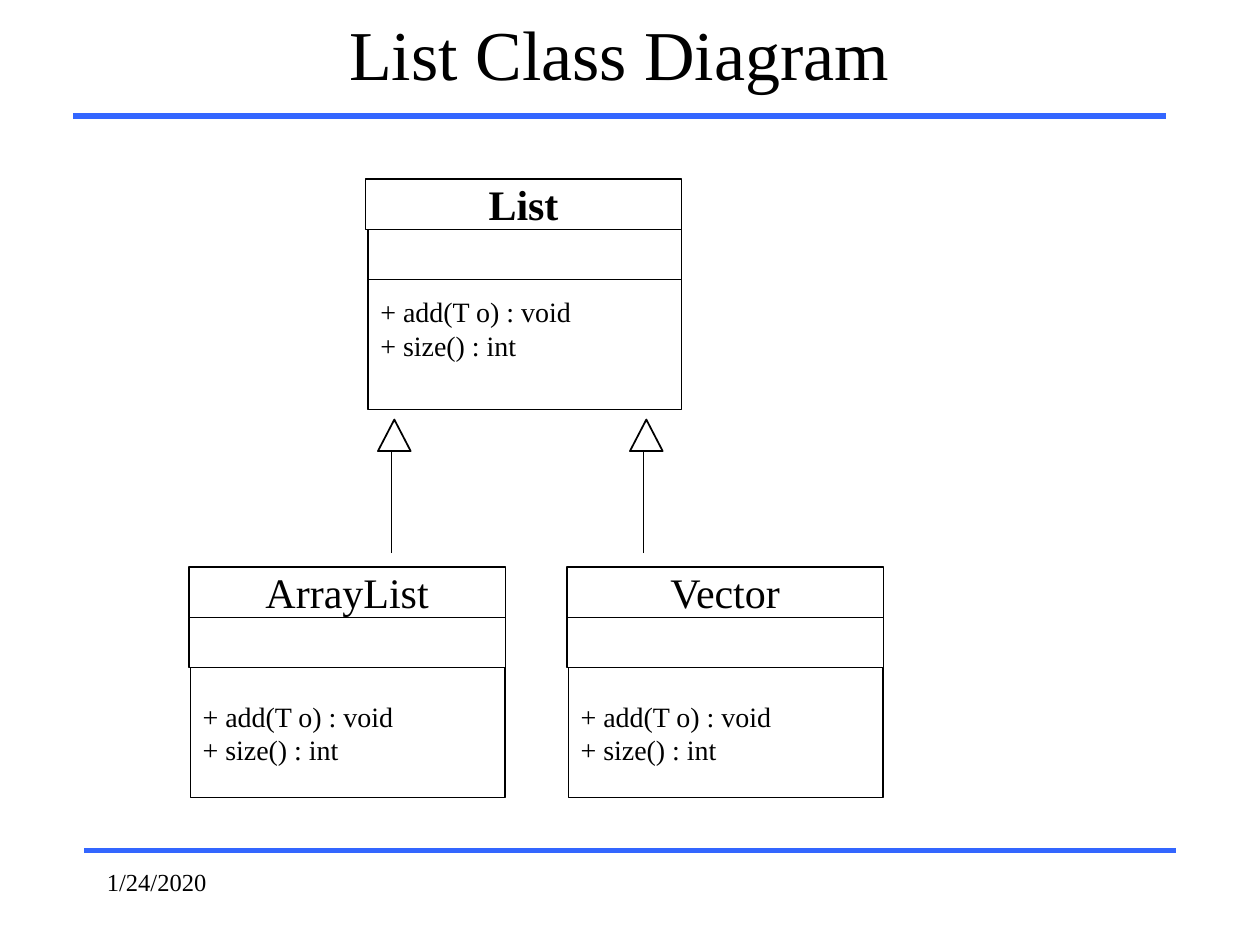
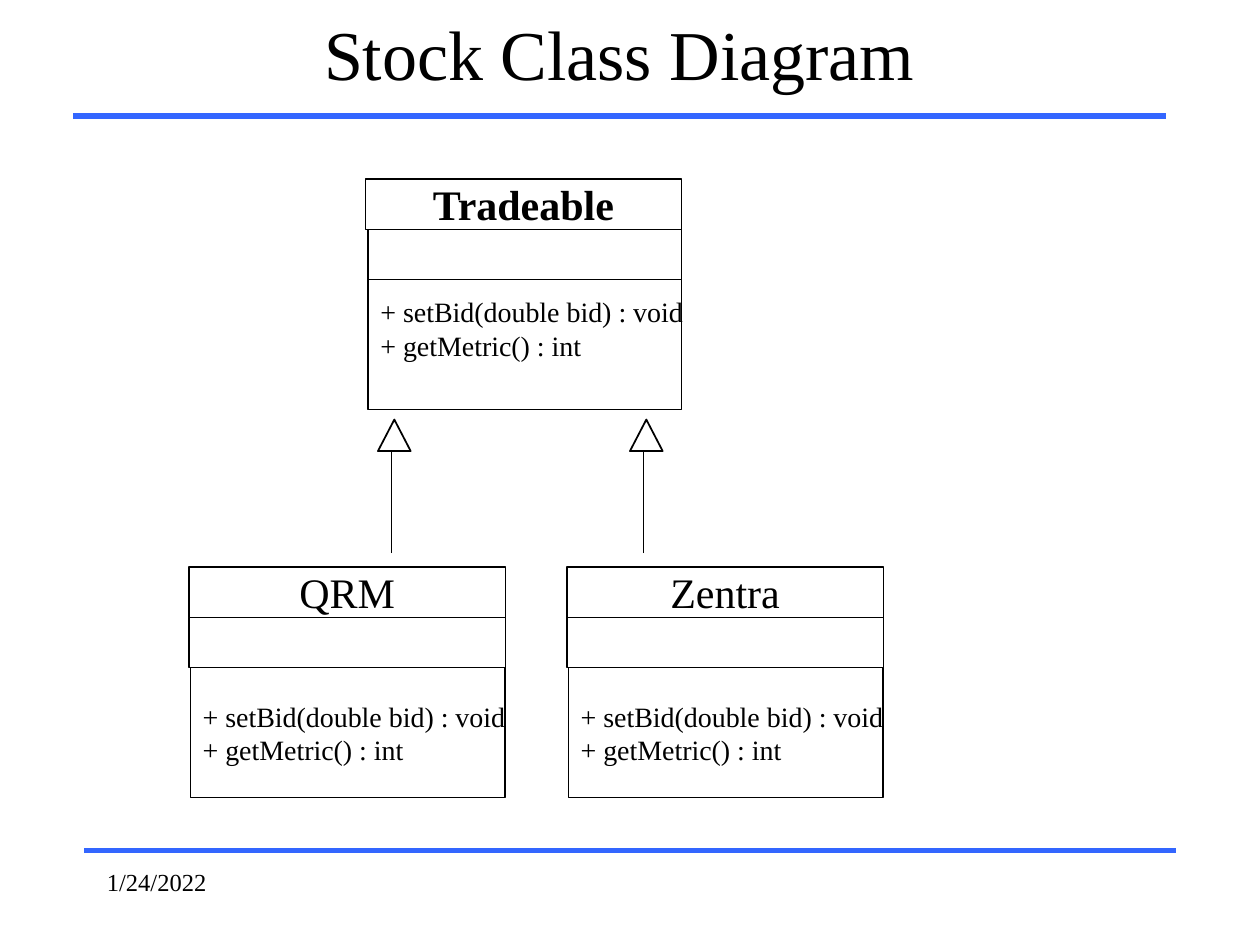
from dataclasses import dataclass

from lxml.etree import SubElement
from pptx import Presentation
from pptx.dml.color import RGBColor
from pptx.enum.shapes import MSO_CONNECTOR, MSO_SHAPE
from pptx.enum.text import MSO_ANCHOR, PP_ALIGN
from pptx.oxml.ns import qn
from pptx.util import Inches, Pt


@dataclass(frozen=True)
class Theme:
    """Colours, font, type sizes and line widths of the deck."""
    ink: RGBColor = RGBColor(0x00, 0x00, 0x00)
    paper: RGBColor = RGBColor(0xFF, 0xFF, 0xFF)
    rule: RGBColor = RGBColor(0x33, 0x66, 0xFF)
    font: str = "Times New Roman"
    title: int = 40
    name: int = 24
    method: int = 16
    date: int = 14
    rule_line: float = 3
    box_line: float = 0.75
    stem_line: float = 0.5
    tip_line: float = 1


@dataclass(frozen=True)
class Box:
    """A region measured in columns and rows of the slide grid."""
    x: float
    y: float
    w: float
    h: float

    def inner(self, dx, dy, w, h):
        """Return a region placed relative to this one."""
        return Box(self.x + dx, self.y + dy, w, h)

    def emu(self):
        """Return left, top, width and height for python-pptx."""
        return [grid(v) for v in (self.x, self.y, self.w, self.h)]


THEME = Theme()
COLUMNS, ROWS = 10, 7.5
TITLE = Box(0.58, 0, 8.67, 0.83)
DATE = Box(0.75, 6.83, 2.08, 0.5)
RULES = [Box(0.67, 6.75, 8.66, 0), Box(0.58, 0.92, 8.67, 0)]
CLASS_W, CLASS_H, NAME_H = 2.51, 1.83, 0.4
PARENT = Box(2.9, 1.42, CLASS_W, CLASS_H)
CHILDREN = [Box(1.5 + 3 * i, 4.5, CLASS_W, CLASS_H) for i in range(2)]
ARROWS = [Box(3 + 2 * i, 3.33, 0.26, 1.06) for i in range(2)]
PARENT_INDENTS, CHILD_INDENTS = (0, 0.02, 0.02), (0, 0, 0.01)
EMPTY_LINE = 0.26

SLIDES = [
    {"title": "List Class Diagram", "date": "1/24/2020", "parent": "List",
     "children": ["ArrayList", "Vector"],
     "methods": ["+ add(T o) : void", "+ size() : int"]},
    {"title": "Stock Class Diagram", "date": "1/24/2022", "parent": "Tradeable",
     "children": ["QRM", "Zentra"],
     "methods": ["+ setBid(double bid) : void", "+ getMetric() : int"]},
]


def grid(cells):
    """Convert grid cells to a slide length."""
    return Inches(round(cells, 2))


def apply(obj, values):
    """Set every attribute named in values on obj."""
    for key, value in values.items():
        setattr(obj, key, value)


def write(tf, lines, size, align=PP_ALIGN.LEFT, bold=False, **frame):
    """Fill a text frame with one formatted paragraph per line."""
    apply(tf, frame)
    for i, line in enumerate(lines):
        p = tf.paragraphs[0] if i == 0 else tf.add_paragraph()
        p.alignment = align
        r = p.add_run()
        r.text = line
        apply(r.font, {"name": THEME.font, "size": Pt(size), "bold": bold})
        r.font.color.rgb = THEME.ink


def add_line(shapes, box, color, width):
    """Draw a straight line from the bottom left to the top right of box."""
    x, y, w, h = box.emu()
    line = shapes.add_connector(MSO_CONNECTOR.STRAIGHT, x, y + h, x + w, y)
    line.line.color.rgb = color
    line.line.width = Pt(width)
    SubElement(line.element.spPr, qn("a:effectLst"))
    return line


def add_outlined(shapes, kind, box, width):
    """Add a white preset shape with a black outline."""
    sp = shapes.add_shape(kind, *box.emu())
    sp.shadow.inherit = False
    sp.fill.solid()
    sp.fill.fore_color.rgb = THEME.paper
    sp.line.color.rgb = THEME.ink
    sp.line.width = Pt(width)
    return sp


def add_class(s, box, name, methods, indents, is_parent=False):
    """Draw a class as name, field and method compartments inside box."""
    shapes = s.shapes.add_group_shape().shapes
    heights = (NAME_H, NAME_H, box.h - 2 * NAME_H)
    cells = [box.inner(dx, i * NAME_H, box.w - dx, h)
             for i, (dx, h) in enumerate(zip(indents, heights))]
    order = (1, 2, 0) if is_parent else (0, 1, 2)
    rows = {i: add_outlined(shapes, MSO_SHAPE.RECTANGLE, cells[i], THEME.box_line)
            for i in order}
    frame = {"word_wrap": False, "vertical_anchor": MSO_ANCHOR.MIDDLE}
    write(rows[0].text_frame, [name], THEME.name, PP_ALIGN.CENTER, is_parent, **frame)
    bottom = 0.05 + (EMPTY_LINE if is_parent else 0)
    write(rows[2].text_frame, methods, THEME.method, margin_bottom=grid(bottom), **frame)


def add_inheritance(s, box):
    """Draw an upward stem with a hollow triangle at the top of box."""
    shapes = s.shapes.add_group_shape().shapes
    stem = box.inner(0.11, 0.14, 0, box.h - 0.14)
    add_line(shapes, stem, THEME.ink, THEME.stem_line)
    tip = box.inner(0, 0, box.w, 0.25)
    add_outlined(shapes, MSO_SHAPE.ISOSCELES_TRIANGLE, tip, THEME.tip_line)


def add_rules(layout, s):
    """Place the blue rules on the layout that all slides share."""
    for i, box in enumerate(RULES):
        line = add_line(s.shapes, box, THEME.rule, THEME.rule_line)
        line.element.nvCxnSpPr.cNvPr.set("id", str(100 + i))
        layout.shapes.element.append(line.element)


def add_frame(s, title, date):
    """Fill the title placeholder and the date at the foot."""
    sp = s.shapes.title
    apply(sp, dict(zip(("left", "top", "width", "height"), TITLE.emu())))
    write(sp.text_frame, [title], THEME.title, PP_ALIGN.CENTER,
          vertical_anchor=MSO_ANCHOR.MIDDLE)
    sp = s.shapes.add_textbox(*DATE.emu())
    write(sp.text_frame, [date], THEME.date, word_wrap=True)


def add_diagram_slide(prs, layout, content):
    """Build a slide with one parent class and its two children."""
    s = prs.slides.add_slide(layout)
    add_frame(s, content["title"], content["date"])
    methods = content["methods"]
    add_class(s, PARENT, content["parent"], methods, PARENT_INDENTS, True)
    for box in ARROWS:
        add_inheritance(s, box)
    for box, name in zip(CHILDREN, content["children"]):
        add_class(s, box, name, methods, CHILD_INDENTS)


def main():
    """Build and save the deck."""
    prs = Presentation()
    apply(prs, {"slide_width": grid(COLUMNS), "slide_height": grid(ROWS)})
    layout = prs.slide_layouts.get_by_name("Title Only")
    for content in SLIDES:
        add_diagram_slide(prs, layout, content)
    add_rules(layout, prs.slides[0])
    prs.save("out.pptx")


if __name__ == "__main__":
    main()
